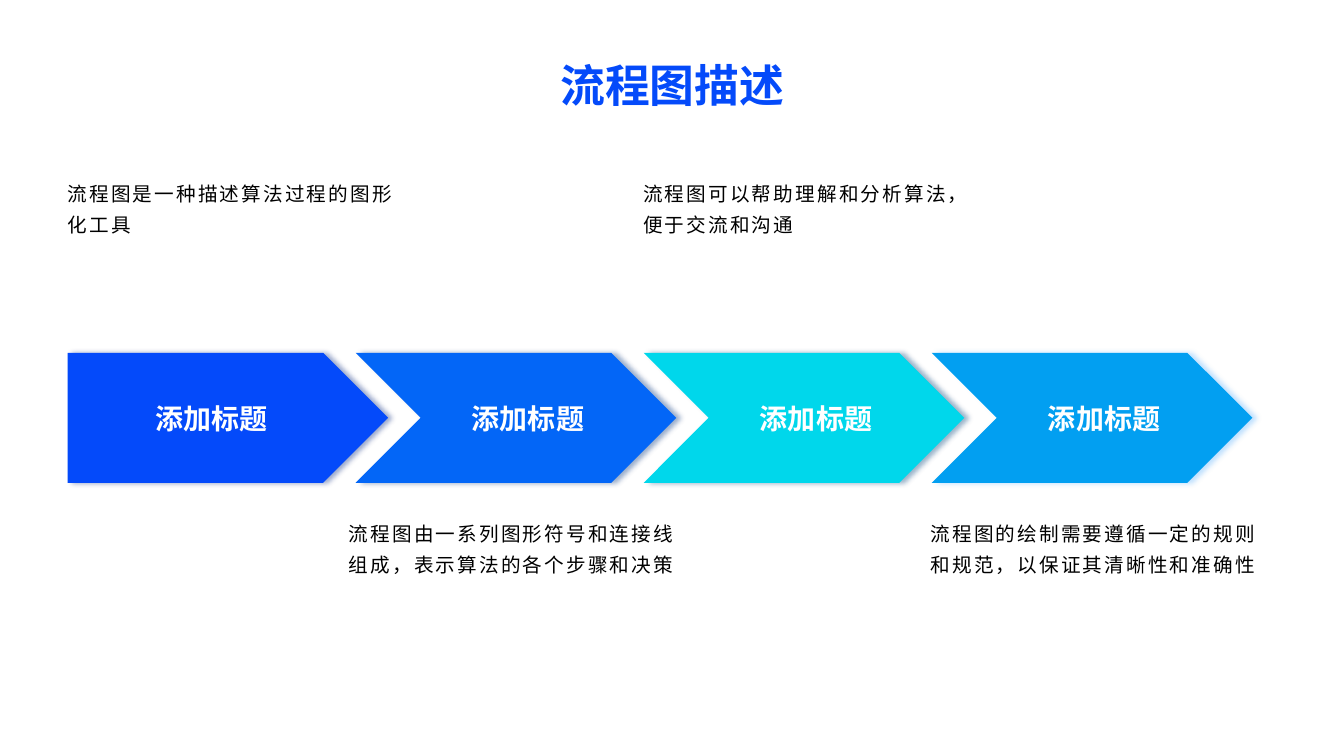
import pptx
import pptx.util
import pptx.dml.color
import pptx.enum.shapes
import pptx.enum.text
import pptx.oxml.ns
from lxml import etree

Inches, Pt = pptx.util.Inches, pptx.util.Pt
RGB = pptx.dml.color.RGBColor.from_string
SHAPE = pptx.enum.shapes.MSO_SHAPE
ALIGN = pptx.enum.text.PP_ALIGN
ANCHOR = pptx.enum.text.MSO_ANCHOR
qn = pptx.oxml.ns.qn

COLORS = {
    "title": "044AFA", "label": "FFFFFF", "body": "000000",
    "blue": "044AFA", "azure": "0366F7", "cyan": "00D7EB", "sky": "029FF1",
    "blue shade": "02257D", "azure shade": "01337C",
    "cyan shade": "01417A", "sky shade": "62B4FE",
}


def write(frame, text, face, size, color, bold, align):
    frame.word_wrap = True
    para = frame.paragraphs[0]
    para.text = text
    para.alignment = align
    para.font.name = face
    para.font.size = Pt(size)
    para.font.bold = bold
    para.font.color.rgb = RGB(COLORS[color])
    return para


def shade(shape, color):
    shape.shadow.inherit = False
    effects = shape._element.spPr.find(qn("a:effectLst"))
    outer = etree.SubElement(effects, qn("a:outerShdw"), blurRad=str(Pt(4)),
                             dist=str(Pt(3)), dir="0", algn="l", rotWithShape="0")
    tint = etree.SubElement(outer, qn("a:srgbClr"), val=color)
    etree.SubElement(tint, qn("a:alpha"), val="40000")


deck = pptx.Presentation()
deck.slide_width, deck.slide_height = Inches(13.33), Inches(7.5)
slide = deck.slides.add_slide(deck.slide_layouts[6])

# Title
box = slide.shapes.add_textbox(Inches(0.67), Inches(0.48), Inches(12), Inches(0.63))
frame = box.text_frame
frame.margin_top = frame.margin_bottom = 0
frame.vertical_anchor = ANCHOR.BOTTOM
write(frame, "流程图描述", "Karla", 32, "title", True, ALIGN.CENTER)

# Row of arrows
for i, name in enumerate(["blue", "azure", "cyan", "sky"]):
    kind = SHAPE.CHEVRON if i else SHAPE.PENTAGON
    arrow = slide.shapes.add_shape(kind, Inches(0.67 + 2.857 * i), Inches(3.5),
                                   Inches(3.18), Inches(1.29))
    arrow.fill.solid()
    arrow.fill.fore_color.rgb = RGB(COLORS[name])
    arrow.line.fill.background()
    shade(arrow, COLORS[name + " shade"])
    frame = arrow.text_frame
    frame.vertical_anchor = ANCHOR.MIDDLE
    if i:
        frame.margin_left, frame.margin_right = Inches(0.24), 0
    write(frame, "添加标题", "Karla", 20, "label", True, ALIGN.CENTER)

# Notes above and below the arrows
notes = [
    (0.67, 1.69, 1.55, "流程图是一种描述算法过程的图形化工具"),
    (3.46, 5.06, 1.5, "流程图由一系列图形符号和连接线组成，表示算法的各个步骤和决策"),
    (6.38, 1.69, 1.55, "流程图可以帮助理解和分析算法，便于交流和沟通"),
    (9.23, 5.06, 1.5, "流程图的绘制需要遵循一定的规则和规范，以保证其清晰性和准确性"),
]
for left, top, height, text in notes:
    box = slide.shapes.add_textbox(Inches(left), Inches(top), Inches(3.43), Inches(height))
    box.text_frame.margin_left = 0
    para = write(box.text_frame, text, "Cabin", 14, "body", False, ALIGN.LEFT)
    para.line_spacing = 1.3
    para.space_after = Pt(10)
    para.runs[0].font._element.set("spc", "150")

deck.save("out.pptx")
